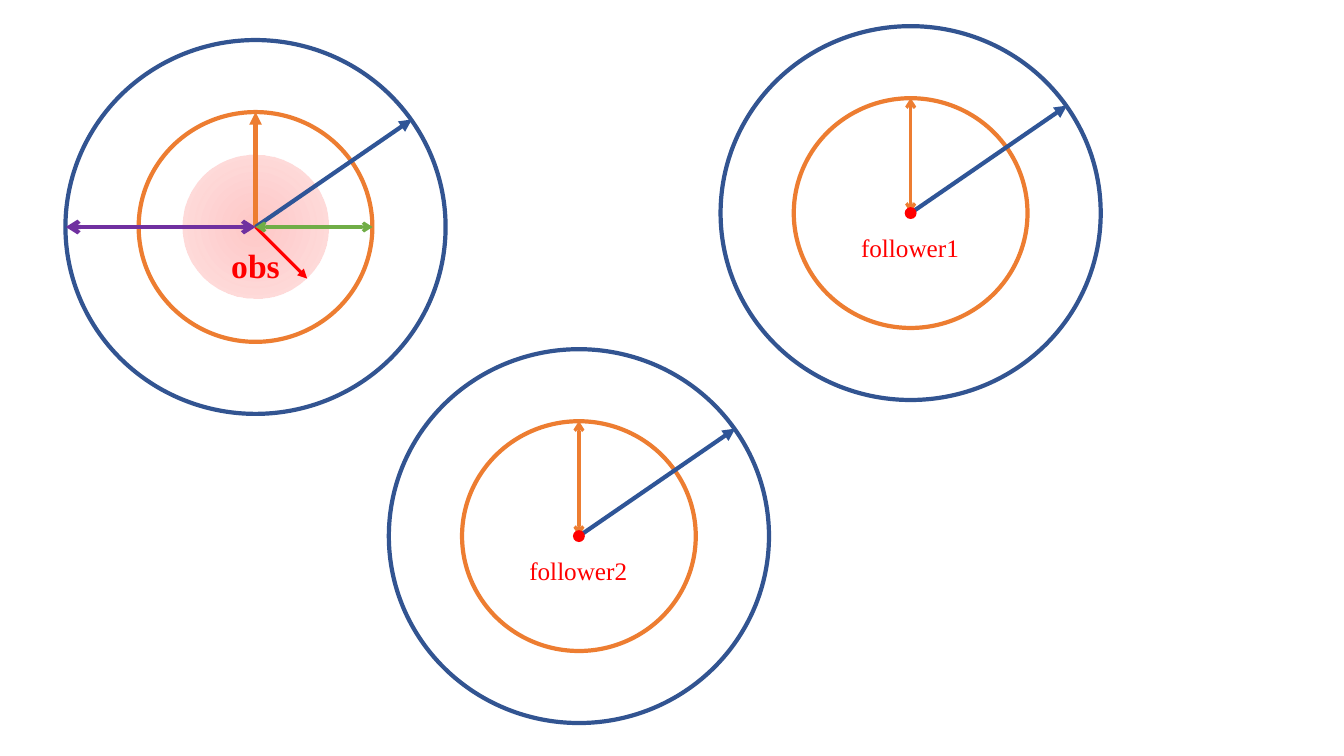
from lxml import etree
from pptx import Presentation
from pptx.dml.color import RGBColor as Rgb
from pptx.enum.shapes import MSO_CONNECTOR as Link, MSO_SHAPE as Form
from pptx.enum.text import MSO_ANCHOR as Anchor, MSO_AUTO_SIZE as Auto, PP_ALIGN as Align
from pptx.oxml import parse_xml
from pptx.oxml.ns import nsdecls, qn
from pptx.util import Cm, Pt

FONT = "Times New Roman"
HUES = {
    "navy": "325491", "blue": "2F5597", "orange": "ED7D31", "red": "FF0000",
    "green": "70AD47", "purple": "7030A0", "core": "FFC6C5", "rim": "FFE3E3",
}
OUTER, INNER, DISC, DOT = (9.58, 9.42), (5.89, 5.79), (3.68, 3.63), (0.3, 0.3)
LABEL = (3.0, 1.02)
DROP = 0.35
REACH = (3.94, -2.71)
UP = (0, -2.9)
OBS = ("obs", 6.44, 5.72)
OBS_RAYS = [
    (UP, "orange", 3, None, "triangle"),
    (REACH, "blue", 3, None, "triangle"),
    ((1.3, 1.3), "red", 2.25, None, "triangle"),
    ((2.95, 0), "green", 2.25, "arrow", "arrow"),
    ((-4.78, 0), "purple", 3, "arrow", "arrow"),
]
FOLLOWERS = [("follower1", 22.95, 5.37), ("follower2", 14.59, 13.51)]
FOLLOWER_RAYS = [
    (UP, "orange", 2.25, "arrow", "arrow"),
    (REACH, "blue", 3, None, "triangle"),
]


def hue(name):
    return Rgb.from_string(HUES[name])


def add_oval(group, x, y, size, line=None, fill=None):
    w, h = size
    oval = group.shapes.add_shape(
        Form.OVAL, Cm(x - w / 2), Cm(y - h / 2), Cm(w), Cm(h))
    oval.shadow.inherit = False
    if fill:
        oval.fill.solid()
        oval.fill.fore_color.rgb = hue(fill)
    else:
        oval.fill.background()
    if line:
        oval.line.color.rgb = hue(line)
        oval.line.width = Pt(3)
    else:
        oval.line.fill.background()
    return oval


def add_rays(group, x, y, rays):
    for (dx, dy), color, width, head, tail in rays:
        ray = group.shapes.add_connector(
            Link.STRAIGHT, Cm(x), Cm(y), Cm(x + dx), Cm(y + dy))
        ray.line.color.rgb = hue(color)
        ray.line.width = Pt(width)
        line = ray.line._get_or_add_ln()
        for tag, kind in (("a:headEnd", head), ("a:tailEnd", tail)):
            if kind:
                etree.SubElement(line, qn(tag)).set("type", kind)
        etree.SubElement(ray._element.spPr, qn("a:effectLst"))


def write(frame, text, size, bold=False):
    run = frame.paragraphs[0].add_run()
    run.text = text
    run.font.name = FONT
    run.font.size = Pt(size)
    run.font.bold = bold
    run.font.color.rgb = hue("red")


def add_rings(slide, x, y):
    group = slide.shapes.add_group_shape()
    add_oval(group, x, y, OUTER, line="navy")
    add_oval(group, x, y, INNER, line="orange")
    return group


def add_disc(group, text, x, y):
    disc = add_oval(group, x, y, DISC)
    props = disc._element.spPr
    blank = props.find(qn("a:noFill"))
    props.replace(blank, parse_xml(
        f'<a:gradFill {nsdecls("a")} rotWithShape="1"><a:gsLst>'
        f'<a:gs pos="0"><a:srgbClr val="{HUES["core"]}"><a:alpha val="95000"/></a:srgbClr></a:gs>'
        f'<a:gs pos="100000"><a:srgbClr val="{HUES["rim"]}"/></a:gs></a:gsLst>'
        '<a:path path="circle"><a:fillToRect l="50000" t="50000" r="50000" b="50000"/></a:path>'
        '</a:gradFill>'))
    frame = disc.text_frame
    frame.vertical_anchor = Anchor.TOP
    frame.margin_top, frame.margin_bottom = Cm(1.73), Cm(0)
    frame.paragraphs[0].alignment = Align.CENTER
    write(frame, text, 24, True)


def add_label(group, text, x, y):
    w, h = LABEL
    box = group.shapes.add_textbox(Cm(x - w / 2), Cm(y + DROP), Cm(w), Cm(h))
    frame = box.text_frame
    frame.word_wrap = False
    frame.auto_size = Auto.SHAPE_TO_FIT_TEXT
    write(frame, text, 18)


def main():
    deck = Presentation()
    deck.slide_width, deck.slide_height = Cm(33.87), Cm(19.05)
    slide = deck.slides.add_slide(deck.slide_layouts[6])

    name, x, y = OBS
    group = add_rings(slide, x, y)
    add_disc(group, name, x, y)
    add_rays(group, x, y, OBS_RAYS)

    for name, x, y in FOLLOWERS:
        group = add_rings(slide, x, y)
        add_rays(group, x, y, FOLLOWER_RAYS)
        add_oval(group, x, y, DOT, fill="red")
        add_label(group, name, x, y)

    deck.save("out.pptx")


if __name__ == "__main__":
    main()
